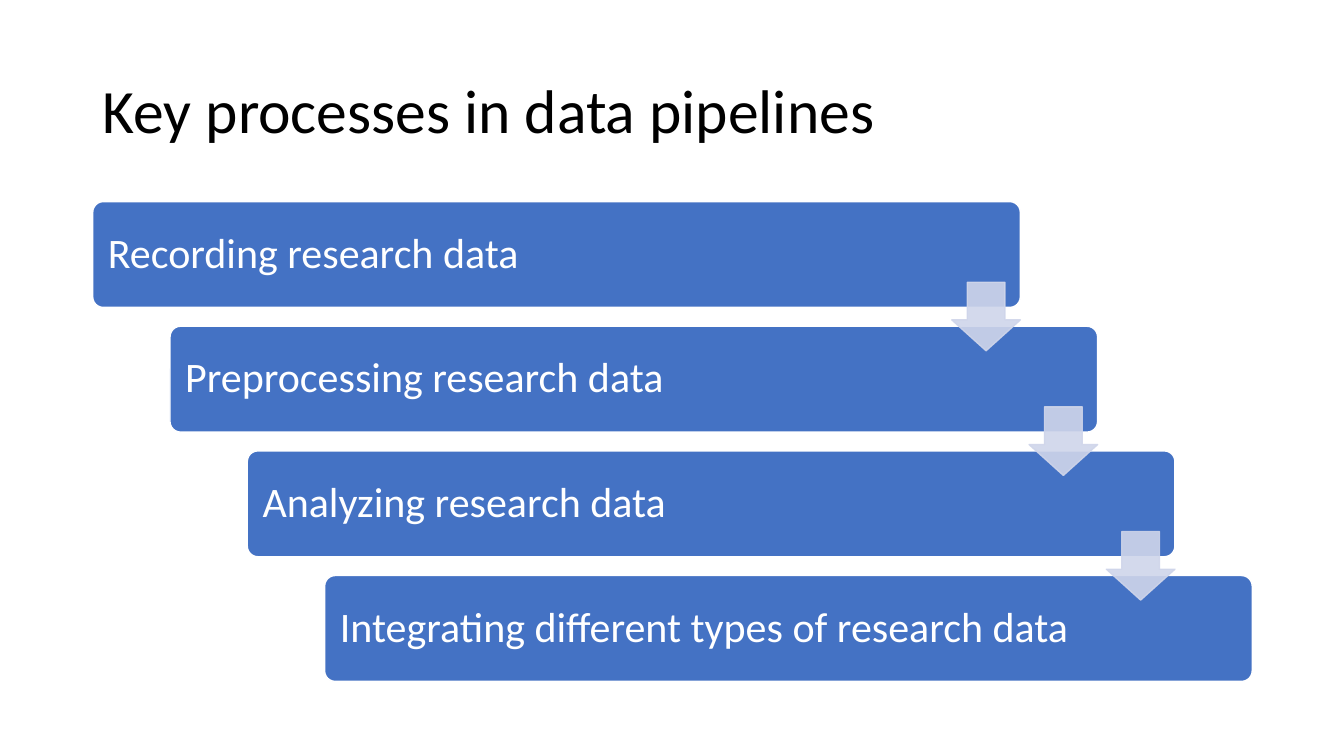
import pptx
import pptx.dml.color
import pptx.enum.shapes
import pptx.enum.text
import pptx.oxml
import pptx.oxml.ns
import pptx.util
from pptx.util import Inches

COLORS = {"title": "000000", "bar": "4472C4", "bar_text": "FFFFFF", "outline": "FFFFFF", "arrow": "CFD5EA"}
FONT = "Calibri"
PROCESSES = [
    "Recording research data",
    "Preprocessing research data",
    "Analyzing research data",
    "Integrating different types of research data",
]
BAR_WIDTH, BAR_HEIGHT = 9.2, 1.05
ARROW_SIZE, ARROW_DROP = 0.68, 0.8


def color(name):
    """Return the named colour."""
    return pptx.dml.color.RGBColor.from_string(COLORS[name])


def write_text(shape, text, size, color_name):
    """Write one left-aligned, vertically centred paragraph in a shape."""
    frame = shape.text_frame
    frame.word_wrap = True
    frame.vertical_anchor = pptx.enum.text.MSO_ANCHOR.MIDDLE
    para = frame.paragraphs[0]
    para.text = text
    para.alignment = pptx.enum.text.PP_ALIGN.LEFT
    para.line_spacing = 0.9
    para.font.name = FONT
    para.font.size = pptx.util.Pt(size)
    para.font.color.rgb = color(color_name)
    return frame


def add_block(page, kind, box, adjustments, fill, line):
    """Add a filled and outlined preset shape in the given box."""
    shape = page.shapes.add_shape(kind, *map(Inches, box))
    shape.shadow.inherit = False
    for index, value in enumerate(adjustments):
        shape.adjustments[index] = value
    shape.fill.solid()
    shape.fill.fore_color.rgb = color(fill)
    shape.line.color.rgb = color(line)
    shape.line.width = pptx.util.Pt(1)
    return shape


def add_title(page, box, text):
    """Add the slide title."""
    write_text(page.shapes.add_textbox(*map(Inches, box)), text, 44, "title")


def add_bar(page, left, top, text):
    """Add one process bar with its label."""
    kind = pptx.enum.shapes.MSO_SHAPE.ROUNDED_RECTANGLE
    bar = add_block(page, kind, (left, top, BAR_WIDTH, BAR_HEIGHT), [0.1], "bar", "outline")
    frame = write_text(bar, text, 30, "bar_text")
    frame.margin_left = frame.margin_right = Inches(0.12)
    frame.margin_top = frame.margin_bottom = Inches(0.12)


def add_arrow(page, left, top):
    """Add one slightly transparent arrow pointing to the next process."""
    kind = pptx.enum.shapes.MSO_SHAPE.DOWN_ARROW
    arrow = add_block(page, kind, (left, top, ARROW_SIZE, ARROW_SIZE), [0.55, 0.45], "arrow", "arrow")
    properties = arrow.fill._xPr
    for value in properties.iter(pptx.oxml.ns.qn("a:srgbClr")):
        alpha = pptx.oxml.parse_xml(f'<a:alpha {pptx.oxml.ns.nsdecls("a")} val="90000"/>')
        value.append(alpha)


def add_staircase(page, box, processes):
    """Place the bars as descending steps across the box, with arrows between."""
    left, top, width, height = box
    gaps = len(processes) - 1
    step_x, step_y = (width - BAR_WIDTH) / gaps, (height - BAR_HEIGHT) / gaps
    corners = [(left + index * step_x, top + index * step_y) for index in range(len(processes))]
    for (bar_left, bar_top), text in zip(corners, processes):
        add_bar(page, bar_left, bar_top, text)
    for bar_left, bar_top in corners[:-1]:
        add_arrow(page, bar_left + BAR_WIDTH - ARROW_SIZE, bar_top + ARROW_DROP)


def main():
    """Build and save the slide."""
    deck = pptx.Presentation()
    deck.slide_width, deck.slide_height = Inches(13.33), Inches(7.5)
    page = deck.slides.add_slide(deck.slide_layouts[6])
    add_title(page, (0.92, 0.4, 11.5, 1.45), "Key processes in data pipelines")
    add_staircase(page, (0.92, 2, 11.5, 4.76), PROCESSES)
    deck.save("out.pptx")


if __name__ == "__main__":
    main()
